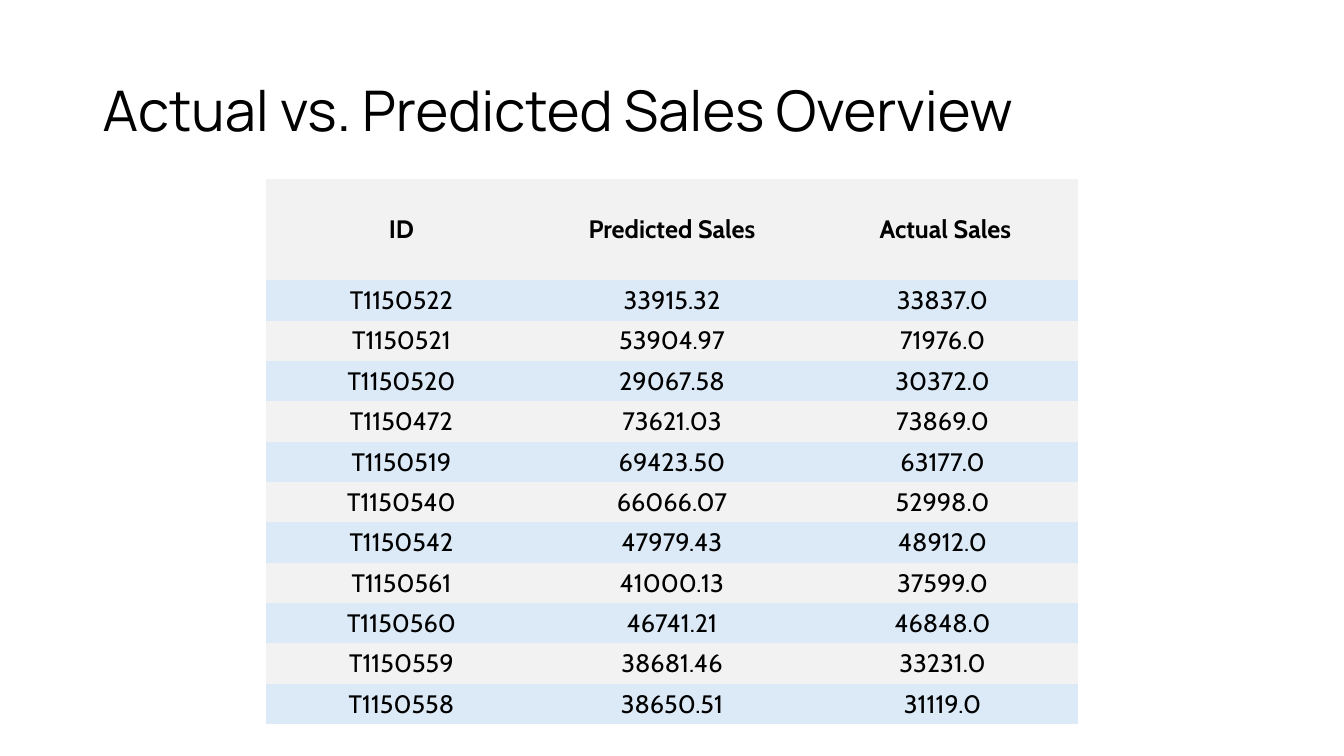
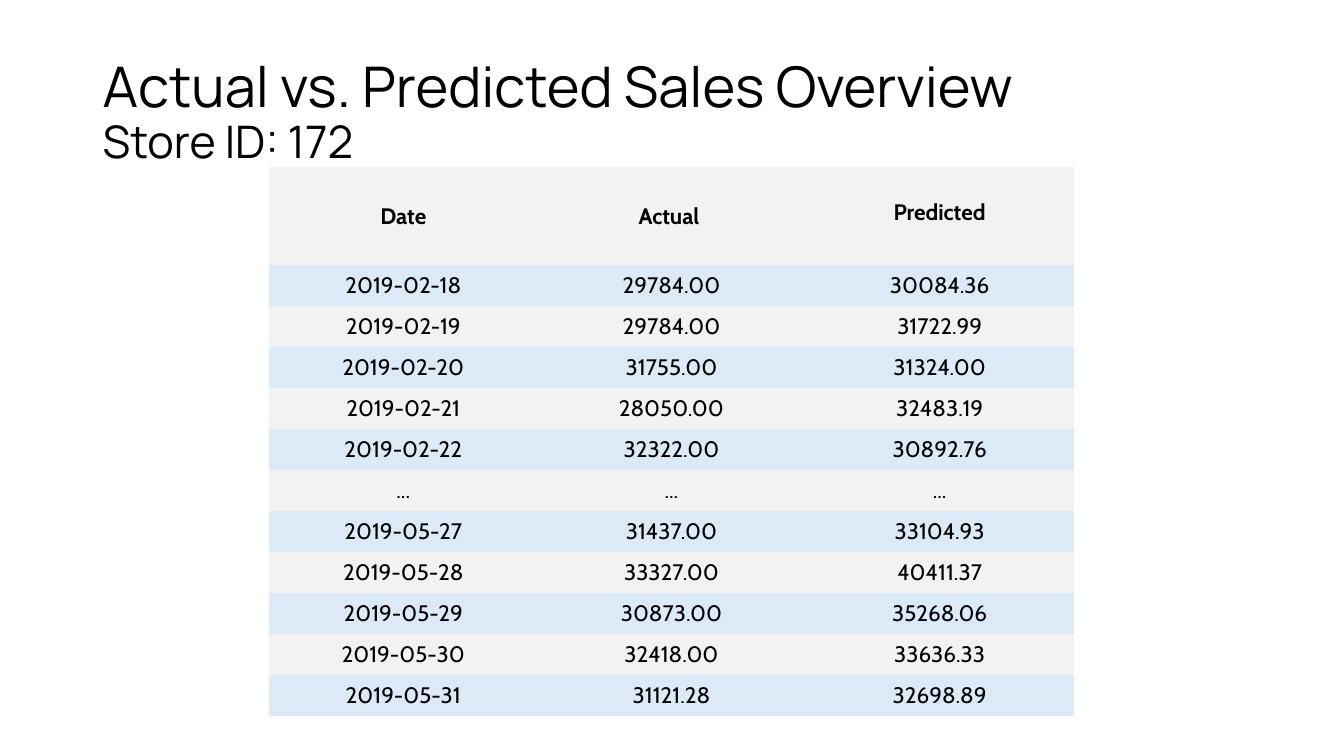
from pptx import Presentation
from pptx.dml.color import RGBColor
from pptx.enum import text
from pptx.util import Inches, Pt

COLOURS = {"ink": "000000", "grey": "F2F2F2", "blue": "DCEAF7"}
TITLE_FONT, TABLE_FONT = "Manrope", "Cabin"
TITLE_AREA = (0.92, 0.4, 11.5, 1.45)
PLAIN_TABLE_STYLE = "{2D5ABB26-0587-4C30-8999-92F81FD0307C}"
TITLE = "Actual vs. Predicted Sales Overview"

SLIDES = [
    {
        "title": [(TITLE, 40)],
        "area": (2.64, 1.78, 8.05, 5.39),
        "header_height": 1.0,
        "size": 18,
        "header_lift": 0,
        "header": ("ID", "Predicted Sales", " Actual Sales"),
        "rows": [
            ("T1150522", "33915.32", "33837.0"),
            ("T1150521", "53904.97", "71976.0"),
            ("T1150520", "29067.58", "30372.0"),
            ("T1150472", "73621.03", "73869.0"),
            ("T1150519", "69423.50", "63177.0"),
            ("T1150540", "66066.07", "52998.0"),
            ("T1150542", "47979.43", "48912.0"),
            ("T1150561", "41000.13", "37599.0"),
            ("T1150560", "46741.21", "46848.0"),
            ("T1150559", "38681.46", "33231.0"),
            ("T1150558", "38650.51", "31119.0"),
        ],
    },
    {
        "title": [(TITLE, 40), ("Store ID: 172", 32)],
        "area": (2.67, 1.66, 7.98, 5.44),
        "header_height": 0.97,
        "size": 16,
        "header_lift": 0.08,
        "header": ("Date", "Actual ", "Predicted"),
        "rows": [
            ("2019-02-18", "29784.00", "30084.36"),
            ("2019-02-19", "29784.00", "31722.99"),
            ("2019-02-20", "31755.00", "31324.00"),
            ("2019-02-21", "28050.00", "32483.19"),
            ("2019-02-22", "32322.00", "30892.76"),
            ("...", "...", "..."),
            ("2019-05-27", "31437.00", "33104.93"),
            ("2019-05-28", "33327.00", "40411.37"),
            ("2019-05-29", "30873.00", "35268.06"),
            ("2019-05-30", "32418.00", "33636.33"),
            ("2019-05-31", "31121.28", "32698.89"),
        ],
    },
]


def colour(name):
    return RGBColor.from_string(COLOURS[name])


def add_title(page, lines):
    box = page.shapes.add_textbox(*map(Inches, TITLE_AREA))
    frame = box.text_frame
    frame.word_wrap = True
    frame.vertical_anchor = text.MSO_ANCHOR.MIDDLE
    para = frame.paragraphs[0]
    para.line_spacing = 0.9
    para.font.name = TITLE_FONT
    para.font.color.rgb = colour("ink")
    for index, (line, size) in enumerate(lines):
        if index:
            para.add_line_break()
        span = para.add_run()
        span.text = line
        span.font.size = Pt(size)


def fill_cell(cell, value, size, fill, bold):
    cell.fill.solid()
    cell.fill.fore_color.rgb = colour(fill)
    cell.vertical_anchor = text.MSO_ANCHOR.MIDDLE
    cell.margin_left = cell.margin_right = Inches(0.09)
    cell.margin_top = cell.margin_bottom = Inches(0.05)
    para = cell.text_frame.paragraphs[0]
    para.text = value
    para.alignment = text.PP_ALIGN.CENTER
    para.font.name = TABLE_FONT
    para.font.size = Pt(size)
    para.font.bold = bold
    para.font.color.rgb = colour("ink")


def add_sales_table(page, content):
    rows = [content["header"], *content["rows"]]
    columns = len(content["header"])
    left, top, width, height = content["area"]
    frame = page.shapes.add_table(len(rows), columns, *map(Inches, content["area"]))
    table = frame.table
    table._tbl.tblPr[0].text = PLAIN_TABLE_STYLE
    row_height = (height - content["header_height"]) / len(content["rows"])
    for column in table.columns:
        column.width = Inches(width / columns)
    for r, values in enumerate(rows):
        table.rows[r].height = Inches(row_height if r else content["header_height"])
        for c, value in enumerate(values):
            fill = "blue" if r % 2 else "grey"
            fill_cell(table.cell(r, c), value, content["size"], fill, r == 0)
    table.cell(0, columns - 1).margin_bottom = Inches(0.05 + content["header_lift"])


def main():
    deck = Presentation()
    deck.slide_width, deck.slide_height = Inches(13.33), Inches(7.5)
    for content in SLIDES:
        page = deck.slides.add_slide(deck.slide_layouts[6])
        add_title(page, content["title"])
        add_sales_table(page, content)
    deck.save("out.pptx")


if __name__ == "__main__":
    main()
